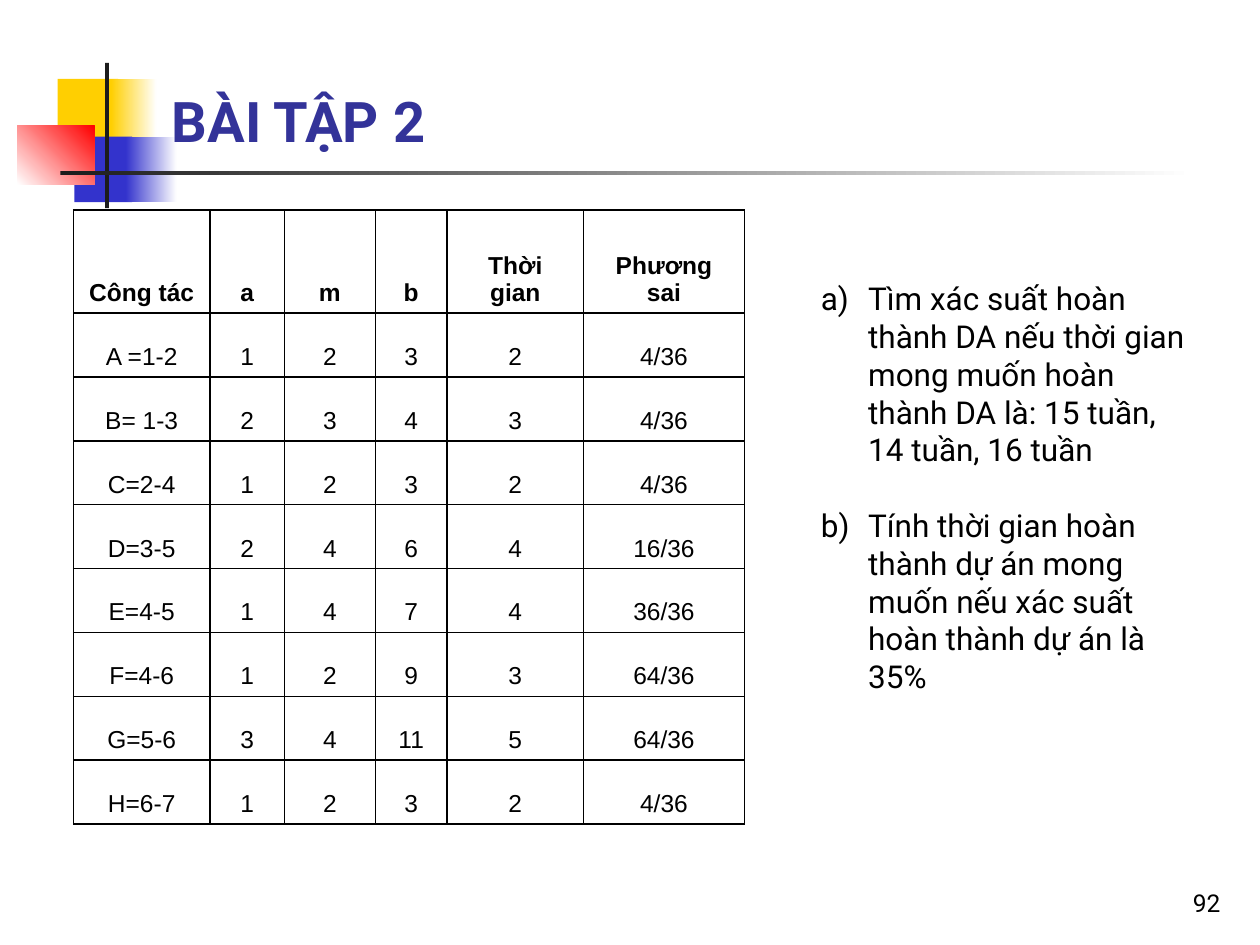
"""Build the exercise slide with its task table and two questions."""
from lxml import etree
from pptx import Presentation
from pptx.dml.color import RGBColor
from pptx.enum import shapes, text
from pptx.oxml import ns
from pptx.util import Pt

COLORS = {"yellow": "FFCF01", "blue": "3333CC", "red": "FF0000", "ink": "1C1C1C",
          "white": "FFFFFF", "title": "333399", "black": "000000"}

ORNAMENTS = [
    ((33, 45, 34.5, 37.5), ["yellow"], 0),
    ((63.5, 45, 26, 37.5), ["yellow", "white"], 0),
    ((42.5, 78, 33, 37.5), ["blue"], 0),
    ((72, 78, 29, 37.5), ["blue", "white"], 0),
    ((10, 72, 44, 33.5), ["white", "red"], 45),
    ((60, 36, 2.3, 83), ["ink"], 0),
    ((34.5, 98, 648, 2.3), ["ink", "white"], 0),
]

TASKS = [
    ("Công tác", "a", "m", "b", "Thời gian", "Phương sai"),
    ("A =1-2", "1", "2", "3", "2", "4/36"),
    ("B= 1-3", "2", "3", "4", "3", "4/36"),
    ("C=2-4", "1", "2", "3", "2", "4/36"),
    ("D=3-5", "2", "4", "6", "4", "16/36"),
    ("E=4-5", "1", "4", "7", "4", "36/36"),
    ("F=4-6", "1", "2", "9", "3", "64/36"),
    ("G=5-6", "3", "4", "11", "5", "64/36"),
    ("H=6-7", "1", "2", "3", "2", "4/36"),
]
COLUMN_WIDTHS = [78, 42.5, 52, 41, 78, 92]
HEADER_HEIGHT, TASK_HEIGHT = 59, 36.5

QUESTIONS = [
    "Tìm xác suất hoàn thành DA nếu thời gian mong muốn hoàn thành DA là: "
    "15 tuần, 14 tuần, 16 tuần",
    "Tính thời gian hoàn thành dự án mong muốn nếu xác suất hoàn thành dự án là 35%",
]


def rgb(name):
    return RGBColor.from_string(COLORS[name])


def points(*lengths):
    return [Pt(length) for length in lengths]


def style(paragraph, size, font="Roboto", color="black", bold=False, align=text.PP_ALIGN.LEFT):
    paragraph.alignment = align
    paragraph.font.name = font
    paragraph.font.size = Pt(size)
    paragraph.font.bold = bold
    paragraph.font.color.rgb = rgb(color)


def add_ornament(slide, box, colors, angle):
    block = slide.shapes.add_shape(shapes.MSO_SHAPE.RECTANGLE, *points(*box))
    block.shadow.inherit = False
    block.line.fill.background()
    if len(colors) == 1:
        block.fill.solid()
        block.fill.fore_color.rgb = rgb(colors[0])
        return
    block.fill.gradient()
    block.fill.gradient_angle = angle
    for stop, color in zip(block.fill.gradient_stops, colors):
        stop.color.rgb = rgb(color)


def set_title(slide, words):
    title = slide.shapes.title
    title.left, title.top, title.width, title.height = points(91, 12, 613, 79.5)
    frame = title.text_frame
    frame.text = words
    frame.auto_size = text.MSO_AUTO_SIZE.NONE
    frame.vertical_anchor = text.MSO_ANCHOR.BOTTOM
    style(frame.paragraphs[0], 32, color="title", bold=True)
    slide.shapes._spTree.append(title._element)


def add_text_frame(slide, box):
    frame = slide.shapes.add_textbox(*points(*box)).text_frame
    frame.word_wrap = True
    return frame


def add_borders(cell):
    properties = cell._tc.get_or_add_tcPr()
    for side in ("a:lnL", "a:lnR", "a:lnT", "a:lnB"):
        border = etree.SubElement(properties, ns.qn(side), w=str(Pt(1)))
        fill = etree.SubElement(border, ns.qn("a:solidFill"))
        etree.SubElement(fill, ns.qn("a:srgbClr"), val=COLORS["black"])


def add_task_table(slide):
    height = HEADER_HEIGHT + TASK_HEIGHT * (len(TASKS) - 1)
    box = points(42, 120, sum(COLUMN_WIDTHS), height)
    table = slide.shapes.add_table(len(TASKS), len(COLUMN_WIDTHS), *box).table
    table.first_row = table.horz_banding = False
    for column, width in zip(table.columns, COLUMN_WIDTHS):
        column.width = Pt(width)
    for index, task in enumerate(TASKS):
        table.rows[index].height = Pt(TASK_HEIGHT if index else HEADER_HEIGHT)
        for cell, value in zip(table.rows[index].cells, task):
            cell.text = value
            cell.vertical_anchor = text.MSO_ANCHOR.BOTTOM
            add_borders(cell)
            cell.fill.background()
            style(cell.text_frame.paragraphs[0], 14, "Arial", bold=index == 0,
                  align=text.PP_ALIGN.CENTER)


def add_questions(slide):
    frame = add_text_frame(slide, (462, 156, 228, 245))
    frame.text = "\n".join(QUESTIONS)
    for index, question in enumerate(frame.paragraphs):
        properties = question._p.get_or_add_pPr()
        properties.set("marL", str(Pt(27)))
        properties.set("indent", str(Pt(-27)))
        etree.SubElement(properties, ns.qn("a:buFont"), typeface="Roboto")
        etree.SubElement(properties, ns.qn("a:buAutoNum"), type="alphaLcParenR")
        if index:
            question.space_before = Pt(21.6)
        style(question, 18)


def add_page_number(slide, number):
    frame = add_text_frame(slide, (554.5, 492, 150, 36))
    frame.text = number
    frame.vertical_anchor = text.MSO_ANCHOR.BOTTOM
    style(frame.paragraphs[0], 14, align=text.PP_ALIGN.RIGHT)


def main():
    deck = Presentation()
    deck.slide_width, deck.slide_height = points(720, 540)
    slide = deck.slides.add_slide(deck.slide_layouts[5])
    for box, colors, angle in ORNAMENTS:
        add_ornament(slide, box, colors, angle)
    add_page_number(slide, "92")
    set_title(slide, "BÀI TẬP 2")
    add_questions(slide)
    add_task_table(slide)
    deck.save("out.pptx")


if __name__ == "__main__":
    main()
